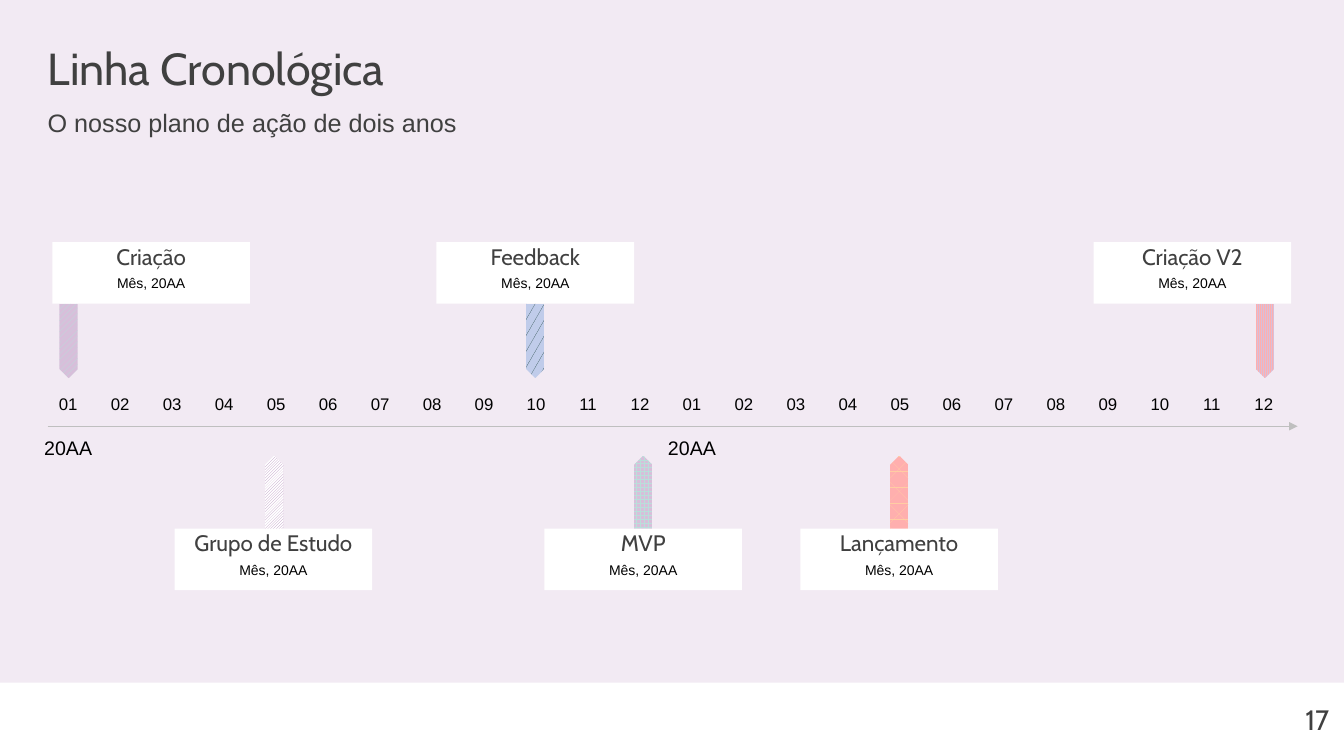
"""Builds a two-year timeline slide with six milestones."""
from lxml.etree import SubElement
from pptx import Presentation
from pptx.dml.color import RGBColor
from pptx.enum.dml import MSO_PATTERN as Pattern
from pptx.enum.shapes import MSO_CONNECTOR as Connector, MSO_SHAPE as Shape
from pptx.enum.text import MSO_ANCHOR as Anchor, PP_ALIGN as Align
from pptx.oxml.ns import qn
from pptx.util import Cm, Pt

WIDTH, HEIGHT = 33.87, 19.05
WHITE, BLACK, GREY = "FFFFFF", "000000", "404040"
HEADING, BODY = "Cabin", "Arial"
MONTH_LEFT, MONTH_STEP = 1.2, 1.31
CARD_WIDTH, CARD_HEIGHT = 4.98, 1.55

MILESTONES = [
    ("Criação", True, 1.32, 1.5, Pattern.WIDE_UPWARD_DIAGONAL, "BADEDA", "D7BFDA"),
    ("Grupo de Estudo", False, 4.4, 6.68, Pattern.DARK_UPWARD_DIAGONAL, "BC95C2", WHITE),
    ("Feedback", True, 11, 13.26, Pattern.SMALL_CONFETTI, "214541", "C0CCEA"),
    ("MVP", False, 13.72, 15.98, Pattern.LARGE_GRID, "BADEDA", "D7BFDA"),
    ("Lançamento", False, 20.17, 22.43, Pattern.DIVOT, "FFCDA3", "FFAFAE"),
    ("Criação V2", True, 27.56, 31.65, Pattern.NARROW_VERTICAL, "FFAFAE", "D7BFDA"),
]


def color(value):
    return RGBColor.from_string(value)


class TimelineSlide:
    def __init__(self, slide, background):
        self.slide = slide
        self.shapes = slide.shapes
        fill = slide.background.fill
        fill.solid()
        fill.fore_color.rgb = color(background)

    def plain(self, shape, fill=WHITE):
        shape.shadow.inherit = False
        shape.fill.solid()
        shape.fill.fore_color.rgb = color(fill)
        shape.line.fill.background()
        return shape

    def box(self, left, top, width, height):
        shape = self.shapes.add_shape(Shape.RECTANGLE, Cm(left), Cm(top), Cm(width), Cm(height))
        return self.plain(shape)

    def frame(self, margin):
        right, bottom = WIDTH - margin * 0.9, HEIGHT - margin
        builder = self.shapes.build_freeform(0, 0, scale=Cm(1))
        builder.add_line_segments([(WIDTH, 0), (WIDTH, HEIGHT), (0, HEIGHT)])
        builder.move_to(margin, margin)
        builder.add_line_segments([(margin, bottom), (right, bottom), (right, margin)])
        self.plain(builder.convert_to_shape())

    def label(self, shape, text, size, font=BODY, fill=BLACK, align=Align.CENTER,
              anchor=Anchor.TOP, inset=0, spacing=0.9):
        frame = shape.text_frame
        frame.word_wrap = True
        frame.vertical_anchor = anchor
        frame.margin_left = frame.margin_right = frame.margin_bottom = 0
        frame.margin_top = Cm(inset)
        paragraph = frame.paragraphs[0]
        paragraph.alignment = align
        paragraph.line_spacing = spacing
        run = paragraph.add_run()
        run.text = text
        run.font.size = Pt(size)
        run.font.name = font
        run.font.color.rgb = color(fill)

    def text(self, left, top, width, height, text, size, **style):
        shape = self.shapes.add_textbox(Cm(left), Cm(top), Cm(width), Cm(height))
        self.label(shape, text, size, **style)

    def axis(self, left, right, top):
        connector = self.shapes.add_connector(
            Connector.STRAIGHT, Cm(left), Cm(top), Cm(right), Cm(top))
        connector.line.color.rgb = color("BFBFBF")
        connector.line.width = Pt(0.5)
        properties = connector._element.spPr
        SubElement(properties.find(qn("a:ln")), qn("a:tailEnd"), type="triangle")
        SubElement(properties, qn("a:effectLst"))

    def marker(self, left, above, pattern, front, back):
        top = 7.65 if above else 11.48
        shape = self.shapes.add_shape(Shape.DOWN_ARROW, Cm(left), Cm(top), Cm(0.46), Cm(1.88))
        shape.adjustments[0] = 1
        shape.adjustments[1] = 0.5
        shape.rotation = 0 if above else 180
        self.plain(shape)
        shape.fill.patterned()
        shape.fill.pattern = pattern
        shape.fill.fore_color.rgb = color(front)
        shape.fill.back_color.rgb = color(back)

    def milestone(self, name, above, card_left, marker_left, pattern, front, back):
        self.marker(marker_left, above, pattern, front, back)
        top = 6.1 if above else 13.32
        card = self.box(card_left, top, CARD_WIDTH, CARD_HEIGHT)
        self.label(card, name, 16, font=HEADING, fill=GREY, inset=0.1)
        self.text(card_left + 0.14, top + 0.87, 4.7, 0.64, "Mês, 20AA", 10)


def main():
    presentation = Presentation()
    presentation.slide_width, presentation.slide_height = Cm(WIDTH), Cm(HEIGHT)
    slide = presentation.slides.add_slide(presentation.slide_layouts[6])
    timeline = TimelineSlide(slide, "F2EAF3")
    timeline.box(0, 17.2, WIDTH, HEIGHT - 17.2)
    timeline.frame(0.3)
    timeline.axis(1.2, 32.7, 10.74)
    timeline.text(1.2, 1.2, 31.5, 1.2, "Linha Cronológica", 32, font=HEADING, fill=GREY,
                  align=Align.LEFT, anchor=Anchor.MIDDLE)
    timeline.text(1.2, 2.79, 31.5, 1, "O nosso plano de ação de dois anos", 18,
                  fill=GREY, align=Align.LEFT)
    for index in range(24):
        left = MONTH_LEFT + index * MONTH_STEP
        timeline.text(left, 9.98, 1.04, 0.56, f"{index % 12 + 1:02}", 12)
        if index % 12 == 0:
            timeline.text(left - 0.18, 11.05, 1.4, 0.56, "20AA", 14, anchor=Anchor.MIDDLE)
    for milestone in MILESTONES:
        timeline.milestone(*milestone)
    timeline.text(32.46, 17.35, 1.04, 1.55, "17", 20, font=HEADING, fill=GREY,
                  align=Align.RIGHT, anchor=Anchor.MIDDLE, spacing=1)
    presentation.save("out.pptx")


if __name__ == "__main__":
    main()
